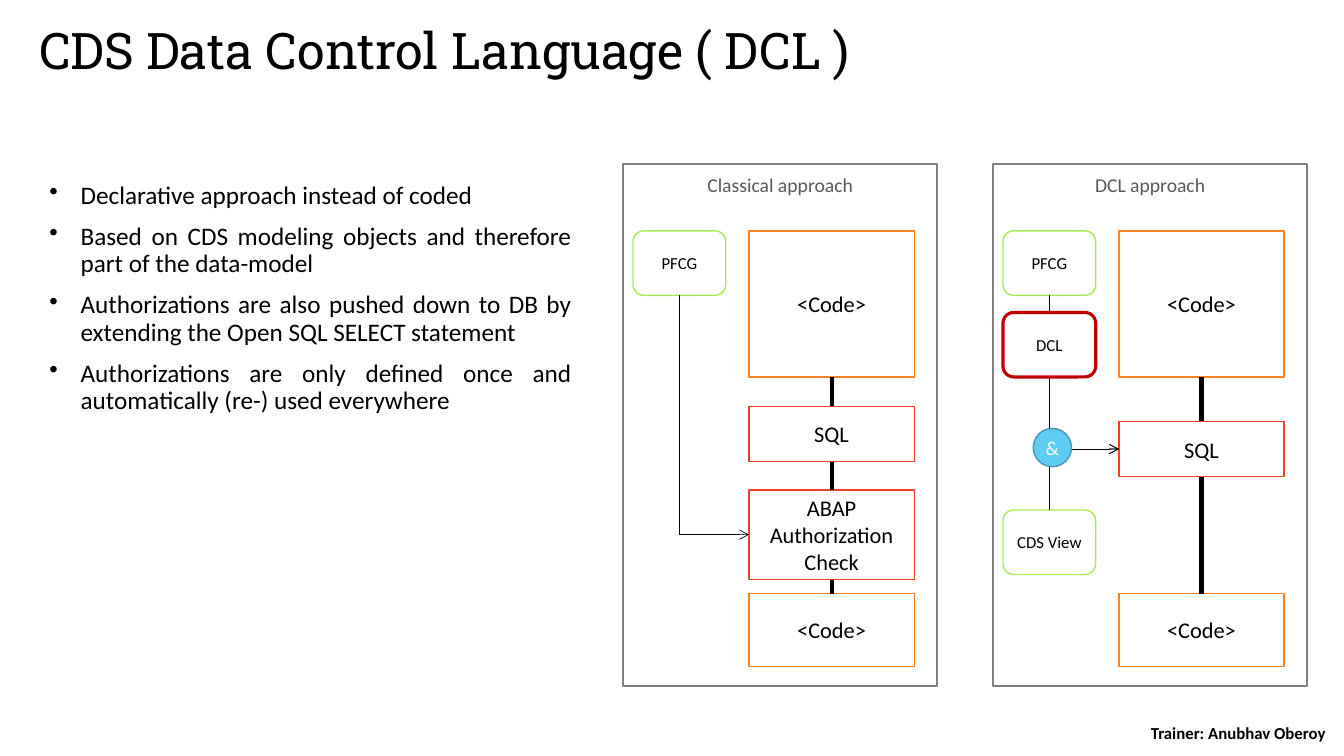
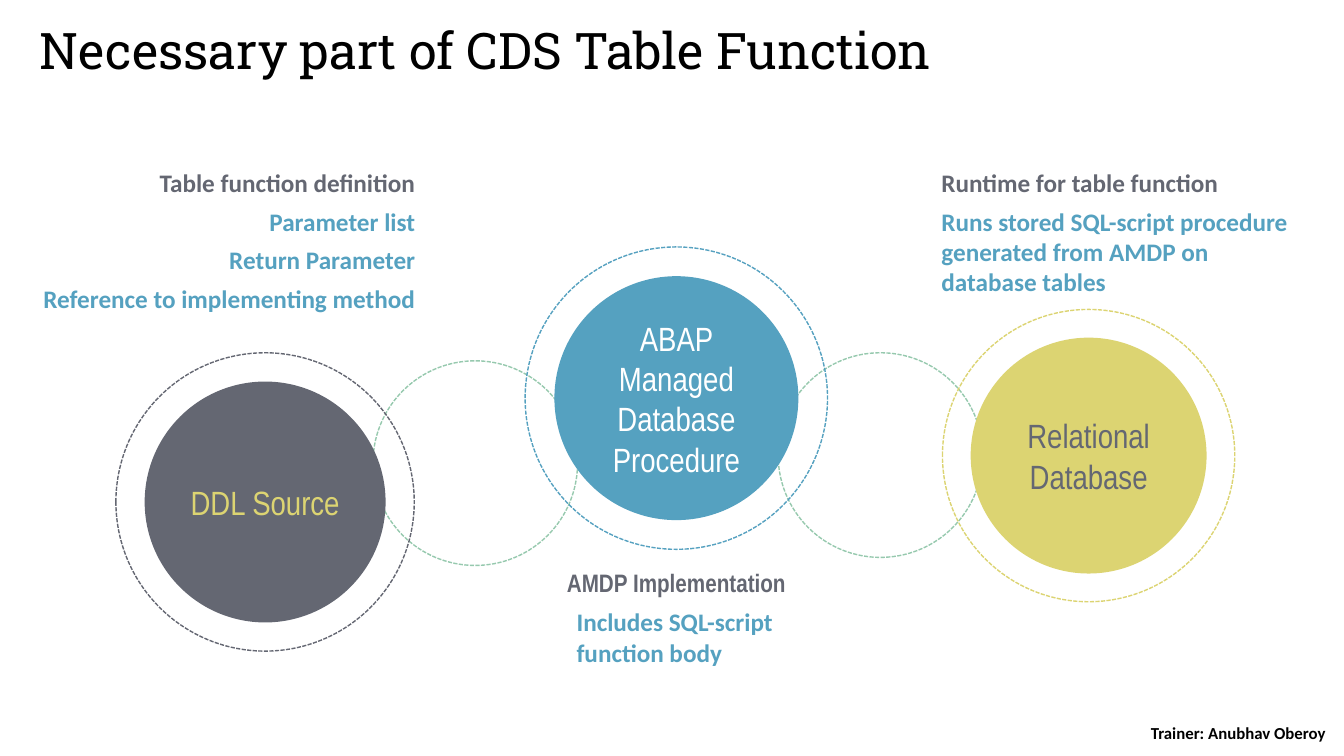
import dataclasses

import lxml.etree
import pptx
import pptx.dml.color
import pptx.enum.dml
import pptx.enum.shapes
import pptx.enum.text
import pptx.oxml
import pptx.oxml.ns
import pptx.util

SHAPE = pptx.enum.shapes.MSO_SHAPE
CONNECTOR = pptx.enum.shapes.MSO_CONNECTOR
ALIGN = pptx.enum.text.PP_ALIGN
ANCHOR = pptx.enum.text.MSO_ANCHOR

# Every position is counted in grid cells of a tenth of an inch.
CELL = 0.1
SLIDE_COLUMNS, SLIDE_ROWS = 133.33, 75

BLACK, WHITE = "000000", "FFFFFF"
PANEL_LINE, PANEL_TITLE = "808080", "595959"
GREEN, ORANGE, RED, DARK_RED = "A7EA52", "FF8021", "F14124", "C00000"
SKY, SKY_LINE = "5ECCF3", "4697B4"
SLATE, TEAL, SAND, MINT = "646772", "55A1C0", "DCD472", "96C9AE"

BODY_FONT, TITLE_FONT, NARROW_FONT = "Calibri", "Roboto Slab", "Arial Narrow"
BOX_INSETS = (1, 0.8, 1, 0.8)
NO_INSETS = (0, 0, 0, 0)
BOTTOM_SITE, TOP_SITE, LEFT_SITE = 2, 0, 1


@dataclasses.dataclass
class Box:
    left: float
    top: float
    width: float
    height: float

    def inner(self, left, top, width, height):
        """Return a box whose offsets are counted from this one."""
        return Box(self.left + left, self.top + top, width, height)

    def lengths(self):
        return [cells(value) for value in (self.left, self.top, self.width, self.height)]


SLIDE_BOX = Box(0, 0, SLIDE_COLUMNS, SLIDE_ROWS)


def cells(count):
    return pptx.util.Inches(count * CELL)


def color(hex_string):
    return pptx.dml.color.RGBColor.from_string(hex_string)


def text_format(size, ink=BLACK, name=BODY_FONT, bold=False):
    return {"size": pptx.util.Pt(size), "name": name, "bold": bold, "color": ink}


def apply_format(target, values):
    for key, value in values.items():
        if key == "color":
            target.color.rgb = color(value)
        else:
            setattr(target, key, value)


def add_bullet(paragraph, indent):
    properties = paragraph._p.get_or_add_pPr()
    properties.set("marL", str(cells(indent)))
    properties.set("indent", str(-cells(indent)))
    bullet = lxml.etree.SubElement(properties, pptx.oxml.ns.qn("a:buChar"))
    bullet.set("char", "•")


def write(shape, lines, align=ALIGN.LEFT, anchor=ANCHOR.TOP, insets=BOX_INSETS,
          wrap=True, gap=0, spacing=None, bullet_indent=None):
    """Fill a shape with (text, format) lines, with gap points between them."""
    frame = shape.text_frame
    left, top, right, bottom = map(cells, insets)
    apply_format(frame, {"word_wrap": wrap, "vertical_anchor": anchor,
                         "margin_left": left, "margin_top": top,
                         "margin_right": right, "margin_bottom": bottom})
    for index, (text, values) in enumerate(lines):
        paragraph = frame.add_paragraph() if index else frame.paragraphs[0]
        paragraph.alignment = align
        if bullet_indent:
            add_bullet(paragraph, bullet_indent)
        if index:
            paragraph.space_before = pptx.util.Pt(gap)
        if spacing:
            paragraph.line_spacing = spacing
        run = paragraph.add_run()
        run.text = text
        apply_format(run.font, values)


def add_text(slide, box, lines, **layout):
    write(slide.shapes.add_textbox(*box.lengths()), lines, **layout)


def add_figure(slide, kind, box, fill=None, line=None, weight=1, dashed=False):
    shape = slide.shapes.add_shape(kind, *box.lengths())
    shape.shadow.inherit = False
    if fill:
        shape.fill.solid()
        shape.fill.fore_color.rgb = color(fill)
    else:
        shape.fill.background()
    if line:
        shape.line.color.rgb = color(line)
        shape.line.width = pptx.util.Pt(weight)
        if dashed:
            shape.line.dash_style = pptx.enum.dml.MSO_LINE.SQUARE_DOT
    else:
        shape.line.fill.background()
    return shape


def add_node(slide, box, text, line, size=16, kind=SHAPE.RECTANGLE, weight=1):
    node = add_figure(slide, kind, box, WHITE, line, weight)
    write(node, [(text, text_format(size))], ALIGN.CENTER, ANCHOR.MIDDLE)
    return node


def add_link(slide, kind, start, start_site, end, end_site, weight):
    link = slide.shapes.add_connector(kind, 0, 0, 0, 0)
    link.begin_connect(start, start_site)
    link.end_connect(end, end_site)
    link.line.color.rgb = color(BLACK)
    link.line.width = pptx.util.Pt(weight)
    lxml.etree.SubElement(link._element.spPr, pptx.oxml.ns.qn("a:effectLst"))
    return link


def connect_down(slide, nodes):
    """Join each node to the next one below it with a thick line."""
    for upper, lower in zip(nodes, nodes[1:]):
        add_link(slide, CONNECTOR.STRAIGHT, upper, BOTTOM_SITE, lower, TOP_SITE, 3)


def add_corner_arrow(slide, start, target, upward=False):
    """Run vertically from start, then turn right into the target's left side."""
    site = TOP_SITE if upward else BOTTOM_SITE
    link = add_link(slide, CONNECTOR.ELBOW, start, site, target, LEFT_SITE, 0.5)
    across, along = link.width, link.height
    middle_x, middle_y = link.left + across // 2, link.top + along // 2
    apply_format(link, {"left": middle_x - along // 2, "top": middle_y - across // 2,
                        "width": along, "height": across})
    properties = link._element.spPr
    properties.find(pptx.oxml.ns.qn("a:prstGeom")).set("prst", "bentConnector2")
    transform = properties.find(pptx.oxml.ns.qn("a:xfrm"))
    transform.set("rot", str((90 if upward else 270) * 60000))
    transform.set("flipH", "1")
    transform.set("flipV", "1" if upward else "0")
    outline = properties.find(pptx.oxml.ns.qn("a:ln"))
    lxml.etree.SubElement(outline, pptx.oxml.ns.qn("a:tailEnd")).set("type", "arrow")


def add_titled_slide(presentation, title):
    slide = presentation.slides.add_slide(presentation.slide_layouts[6])
    add_text(slide, SLIDE_BOX.inner(2.9, 2.1, 123.5, 7.8),
             [(title, text_format(36, name=TITLE_FONT))],
             insets=(1, 0.5, 1, 0.5), spacing=0.9)
    add_text(slide, SLIDE_BOX.inner(110.7, 71.6, 24.3, 2.2),
             [("Trainer: Anubhav Oberoy", text_format(12, bold=True))],
             align=ALIGN.CENTER, anchor=ANCHOR.MIDDLE, insets=(1, 0.5, 1, 0.5))
    return slide


def add_bullets(slide, box, texts):
    add_text(slide, box, [(text, text_format(18)) for text in texts],
             align=ALIGN.JUSTIFY, insets=(2, 1.6, 1.2, 1.1), gap=10,
             spacing=0.9, bullet_indent=3.1)


def add_panel(slide, box, title):
    """Draw the frame and the nodes both approaches share; return those nodes."""
    frame = add_figure(slide, SHAPE.RECTANGLE, box, line=PANEL_LINE, weight=1.5)
    write(frame, [(title, text_format(14, PANEL_TITLE))], ALIGN.CENTER,
          insets=(0.9, 0.9, 0.9, 1.9))
    role = add_role(slide, box, 6.6, "PFCG")
    first_code = add_step(slide, box, 6.6, 14.5, "<Code>", ORANGE)
    last_code = add_step(slide, box, 42.6, 7.2, "<Code>", ORANGE)
    return role, first_code, last_code


def add_role(slide, panel, top, text, line=GREEN, weight=1):
    return add_node(slide, panel.inner(1, top, 9.2, 6.4), text, line, 12,
                    SHAPE.ROUNDED_RECTANGLE, weight)


def add_step(slide, panel, top, height, text, line):
    return add_node(slide, panel.inner(12.5, top, 16.4, height), text, line)


def add_classical_panel(slide, box):
    role, first_code, last_code = add_panel(slide, box, "Classical approach")
    query = add_step(slide, box, 24, 5.5, "SQL", RED)
    check = add_step(slide, box, 32.3, 8.9, "ABAP Authorization Check", RED)
    connect_down(slide, [first_code, query, check, last_code])
    add_corner_arrow(slide, role, check)


def add_dcl_panel(slide, box):
    role, first_code, last_code = add_panel(slide, box, "DCL approach")
    query = add_step(slide, box, 25.5, 5.5, "SQL", RED)
    connect_down(slide, [first_code, query, last_code])
    add_corner_arrow(slide, role, query)
    add_role(slide, box, 14.7, "DCL", DARK_RED, 2.25)
    view = add_role(slide, box, 34.3, "CDS View")
    add_corner_arrow(slide, view, query, upward=True)
    junction = add_figure(slide, SHAPE.OVAL, box.inner(4, 26.2, 3.8, 3.8), SKY, SKY_LINE)
    write(junction, [("&", text_format(14, WHITE))], ALIGN.CENTER, ANCHOR.MIDDLE, NO_INSETS)


def build_control_language_slide(presentation):
    slide = add_titled_slide(presentation, "CDS Data Control Language ( DCL )")
    add_bullets(slide, SLIDE_BOX.inner(2.9, 16.5, 55, 50.2), [
        "Declarative approach instead of coded",
        "Based on CDS modeling objects and therefore part of the data-model",
        "Authorizations are also pushed down to DB by extending the Open SQL SELECT statement",
        "Authorizations are only defined once and automatically (re-) used everywhere",
    ])
    for add_approach, left in ((add_classical_panel, 61.8), (add_dcl_panel, 98.5)):
        add_approach(slide, SLIDE_BOX.inner(left, 16.3, 31.2, 51.8))


def circle_box(center_x, center_y, diameter):
    return Box(center_x - diameter / 2, center_y - diameter / 2, diameter, diameter)


def add_ring(slide, center, diameter, line):
    add_figure(slide, SHAPE.OVAL, circle_box(*center, diameter), line=line, dashed=True)


def add_stage(slide, center, ring, disc, fill, text, ink):
    """Draw a labelled disc inside a dashed ring of the same colour."""
    add_ring(slide, center, ring, fill)
    shape = add_figure(slide, SHAPE.OVAL, circle_box(*center, disc), fill)
    write(shape, [(text, text_format(24, ink, NARROW_FONT))], ALIGN.CENTER, ANCHOR.MIDDLE)


def add_stage_text(slide, box, heading=None, details=(), heading_font=BODY_FONT, **layout):
    lines = [(heading, text_format(18, SLATE, heading_font, True))] if heading else []
    lines += [(detail, text_format(18, TEAL, bold=True)) for detail in details]
    add_text(slide, box, lines, insets=NO_INSETS, gap=6, **layout)


def build_table_function_slide(presentation):
    slide = add_titled_slide(presentation, "Necessary part of CDS Table Function")
    for center in ((87.35, 45.15), (47.15, 45.95)):
        add_ring(slide, center, 20.3, MINT)
    for stage in (
        ((108, 45.2), 29, 23.4, SAND, "Relational Database", SLATE),
        ((26.3, 49.8), 29.6, 23.9, SLATE, "DDL Source", SAND),
        ((67.1, 39.5), 30, 24.2, TEAL, "ABAP Managed Database Procedure", WHITE),
    ):
        add_stage(slide, *stage)
    add_stage_text(slide, SLIDE_BOX.inner(3.8, 16.6, 37.4, 15), "Table function definition",
                   ["Parameter list", "Return Parameter", "Reference to implementing method"],
                   align=ALIGN.RIGHT, wrap=False)
    add_stage_text(slide, SLIDE_BOX.inner(93.4, 16.6, 35.7, 12), "Runtime for table function",
                   ["Runs stored SQL-script procedure generated from AMDP on database tables"])
    add_stage_text(slide, SLIDE_BOX.inner(53.3, 56.3, 27.6, 7.4), "AMDP Implementation",
                   heading_font=NARROW_FONT, align=ALIGN.CENTER)
    add_stage_text(slide, SLIDE_BOX.inner(57.2, 60.2, 27.6, 7.4),
                   details=["Includes SQL-script function body"])


def main():
    presentation = pptx.Presentation()
    presentation.slide_width = cells(SLIDE_COLUMNS)
    presentation.slide_height = cells(SLIDE_ROWS)
    build_control_language_slide(presentation)
    build_table_function_slide(presentation)
    presentation.save("out.pptx")


if __name__ == "__main__":
    main()
